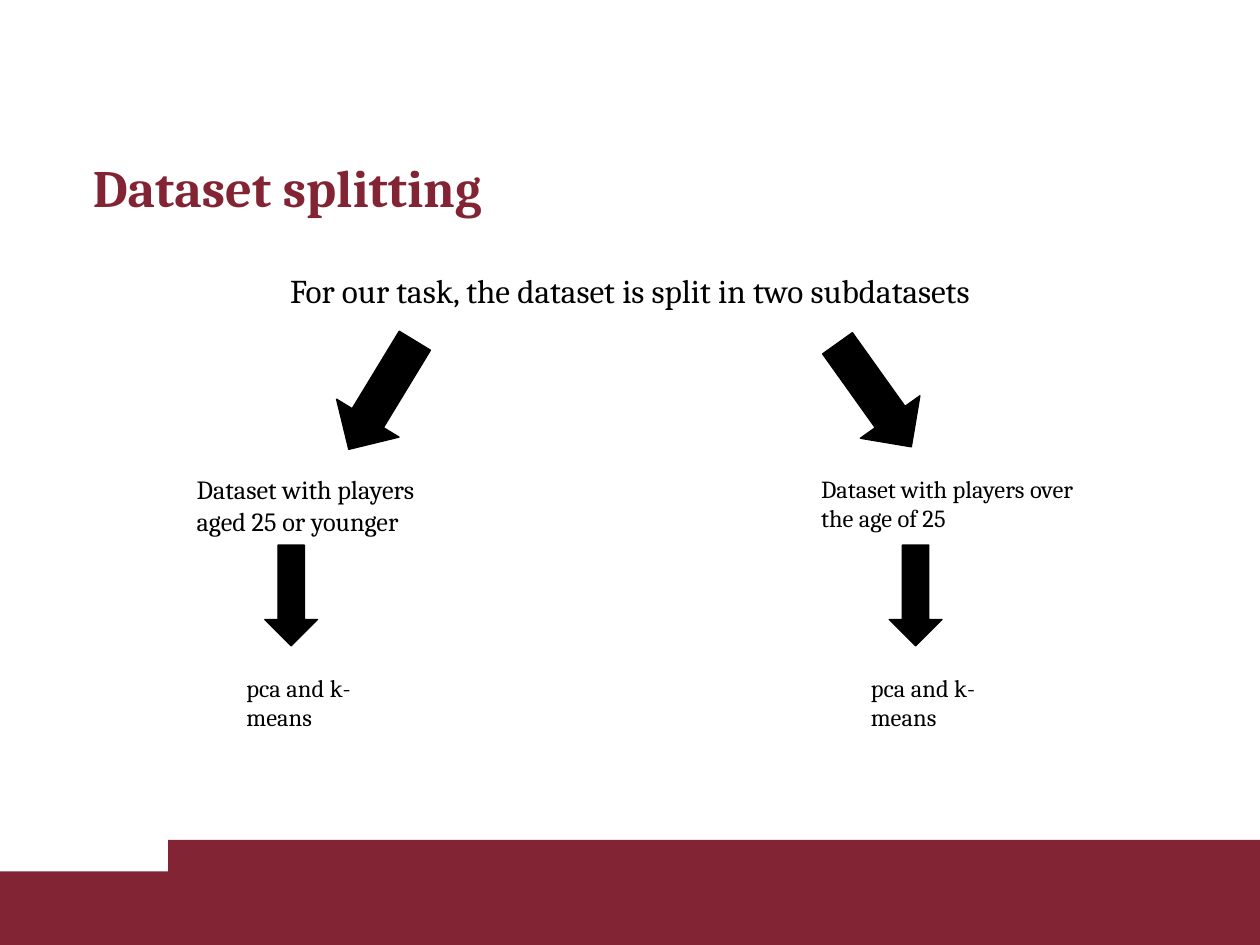
from pptx import Presentation
from pptx.dml.color import RGBColor
from pptx.enum.shapes import MSO_SHAPE
from pptx.enum.text import MSO_ANCHOR, PP_ALIGN
from pptx.util import Pt

RECTANGLE = MSO_SHAPE.RECTANGLE
DOWN_ARROW = MSO_SHAPE.DOWN_ARROW
TOP = MSO_ANCHOR.TOP
LEFT = PP_ALIGN.LEFT
CENTER = PP_ALIGN.CENTER


def color(value):
    return RGBColor.from_string(value)


def write(frame, text, size=14, font="Cambria", ink="000000", bold=False, align=LEFT):
    para = frame.paragraphs[0]
    para.alignment = align
    span = para.add_run()
    span.text = text
    span.font.size = Pt(size)
    span.font.name = font
    span.font.bold = bold
    span.font.color.rgb = color(ink)


class SlideBuilder:
    accent = "822433"
    ink = "000000"
    inset = 7.2

    def __init__(self, page):
        self.page = page

    def shape(self, kind, left, top, width, height, fill):
        shape = self.page.shapes.add_shape(
            kind, Pt(left), Pt(top), Pt(width), Pt(height))
        shape.shadow.inherit = False
        shape.fill.solid()
        shape.fill.fore_color.rgb = color(fill)
        shape.line.fill.background()
        return shape

    def band(self, left, top, width, height):
        self.shape(RECTANGLE, left, top, width, height, self.accent)

    def arrow(self, left, top, width, height, rotation=0):
        arrow = self.shape(DOWN_ARROW, left, top, width, height, self.ink)
        arrow.line.color.rgb = color(self.ink)
        arrow.line.width = Pt(0.75)
        arrow.rotation = rotation

    def text(self, text, left, top, width, height, inset=inset, **style):
        box = self.page.shapes.add_textbox(Pt(left), Pt(top), Pt(width), Pt(height))
        frame = box.text_frame
        frame.word_wrap = True
        frame.vertical_anchor = TOP
        frame.margin_left = frame.margin_right = Pt(self.inset)
        frame.margin_top = frame.margin_bottom = Pt(inset)
        write(frame, text, **style)


def main():
    deck = Presentation()
    deck.slide_width, deck.slide_height = Pt(720), Pt(540)
    page = deck.slides.add_slide(deck.slide_layouts[6])
    builder = SlideBuilder(page)

    builder.band(0, 498, 720, 42)
    builder.band(96, 480, 624, 60)
    builder.text("Dataset splitting", 46, 85, 612, 36.7, inset=3.6,
                 size=30, ink=builder.accent, bold=True)
    builder.text("For our task, the dataset is split in two subdatasets",
                 32.5, 147, 655, 37.5, size=19, align=CENTER)

    branches = [
        (105.3, 197.3, 31.3, "Dataset with players aged 25 or younger", 15),
        (462.1, 478.8, 324.5, "Dataset with players over the age of 25", 14),
    ]
    for left, split_left, rotation, label, size in branches:
        builder.arrow(split_left, 189.4, 41.8, 72.7, rotation)
        builder.text(label, left, 263.5, 159, 50, size=size)
        builder.arrow(left + 46, 311.5, 30.2, 57.6)
        builder.text("pca and k-means", left + 28.4, 377.3, 102.2, 48.2)

    deck.save("out.pptx")


if __name__ == "__main__":
    main()
